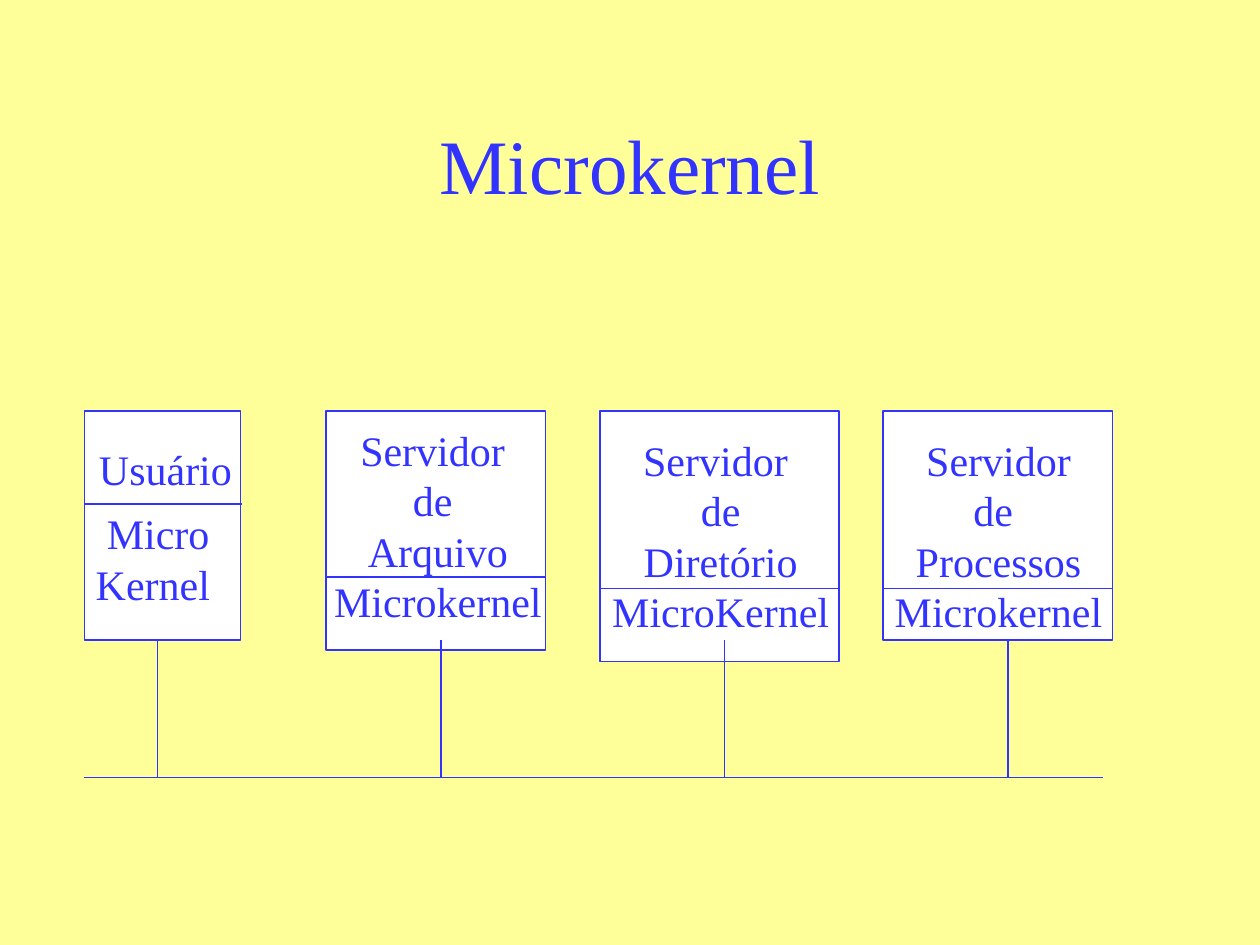
import pptx
import pptx.dml.color
import pptx.enum.shapes
import pptx.enum.text
import pptx.oxml.ns
import pptx.slide
import pptx.util
from dataclasses import dataclass
from lxml import etree

COLORS = {"background": "FFFF99", "ink": "3333FF", "box": "FFFFFF"}
FONT = "Times New Roman"
BOX_TOP, DROP_TOP, BUS_Y = 3.26, 5.08, 6.17
FIRST_DROP, DROP_STEP = 1.25, 2.25
LINE_HEIGHT, MARGIN = 0.4, 0.05
CENTER = pptx.enum.text.PP_ALIGN.CENTER
RIGHT = pptx.enum.text.PP_ALIGN.RIGHT


@dataclass
class Label:
    left: float
    top: float
    width: float
    lines: list[str]
    align: pptx.enum.text.PP_ALIGN = CENTER


@dataclass
class Machine:
    left: float
    width: float
    height: float
    divider_y: float
    divider_end: float
    labels: list[Label]


MACHINES = [
    Machine(0.67, 1.24, 1.82, 4.0, 1.92, [
        Label(0.68, 3.47, 1.26, ["Usuário"], RIGHT),
        Label(0.66, 3.98, 1.19, ["Micro", "Kernel "])]),
    Machine(2.59, 1.74, 1.90, 4.58, 4.33, [
        Label(2.55, 3.32, 1.85, ["Servidor ", "de ", "Arquivo", "Microkernel"])]),
    Machine(4.76, 1.90, 1.99, 4.67, 6.67, [
        Label(4.76, 3.40, 1.92, ["Servidor ", "de", "Diretório", "MicroKernel"])]),
    Machine(7.01, 1.82, 1.82, 4.67, 8.83, [
        Label(7.0, 3.40, 1.85, ["Servidor", "de ", "Processos", "Microkernel"])]),
]


def color(name: str) -> pptx.dml.color.RGBColor:
    return pptx.dml.color.RGBColor.from_string(COLORS[name])


def inches(*lengths: float) -> list[pptx.util.Length]:
    return [pptx.util.Inches(length) for length in lengths]


def style_line(line) -> None:
    line.color.rgb = color("ink")
    line.width = pptx.util.Pt(1)


def add_line(slide: pptx.slide.Slide, x1: float, y1: float, x2: float, y2: float) -> None:
    connector = slide.shapes.add_connector(
        pptx.enum.shapes.MSO_CONNECTOR.STRAIGHT, *inches(x1, y1, x2, y2))
    style_line(connector.line)
    etree.SubElement(connector._element.spPr, pptx.oxml.ns.qn("a:effectLst"))


def add_text(slide: pptx.slide.Slide, label: Label, height: float, size: int, wrap: bool):
    shape = slide.shapes.add_textbox(*inches(label.left, label.top, label.width, height))
    frame = shape.text_frame
    frame.text = "\n".join(label.lines)
    frame.word_wrap = wrap
    for paragraph in frame.paragraphs:
        paragraph.alignment = label.align
        paragraph.font.name = FONT
        paragraph.font.size = pptx.util.Pt(size)
        paragraph.font.color.rgb = color("ink")
    return frame


def add_machine(slide: pptx.slide.Slide, machine: Machine) -> None:
    box = slide.shapes.add_shape(
        pptx.enum.shapes.MSO_SHAPE.RECTANGLE,
        *inches(machine.left, BOX_TOP, machine.width, machine.height))
    box.shadow.inherit = False
    box.fill.solid()
    box.fill.fore_color.rgb = color("box")
    style_line(box.line)
    for label in machine.labels:
        height = len(label.lines) * LINE_HEIGHT + 2 * MARGIN
        frame = add_text(slide, label, height, 24, False)
        frame.auto_size = pptx.enum.text.MSO_AUTO_SIZE.SHAPE_TO_FIT_TEXT
    add_line(slide, machine.left, machine.divider_y, machine.divider_end, machine.divider_y)


presentation = pptx.Presentation()
presentation.slide_width, presentation.slide_height = inches(10, 7.5)
slide = presentation.slides.add_slide(presentation.slide_layouts[6])
slide.background.fill.solid()
slide.background.fill.fore_color.rgb = color("background")

# Title
title = add_text(slide, Label(0.75, 0.67, 8.5, ["Microkernel"]), 1.25, 44, True)
title.vertical_anchor = pptx.enum.text.MSO_ANCHOR.MIDDLE

# Machines, each with a drop to the network
for index, machine in enumerate(MACHINES):
    add_machine(slide, machine)
    drop_x = FIRST_DROP + index * DROP_STEP
    add_line(slide, drop_x, DROP_TOP, drop_x, BUS_Y)

# Network bus
add_line(slide, MACHINES[0].left, BUS_Y, 8.75, BUS_Y)

presentation.save("out.pptx")
